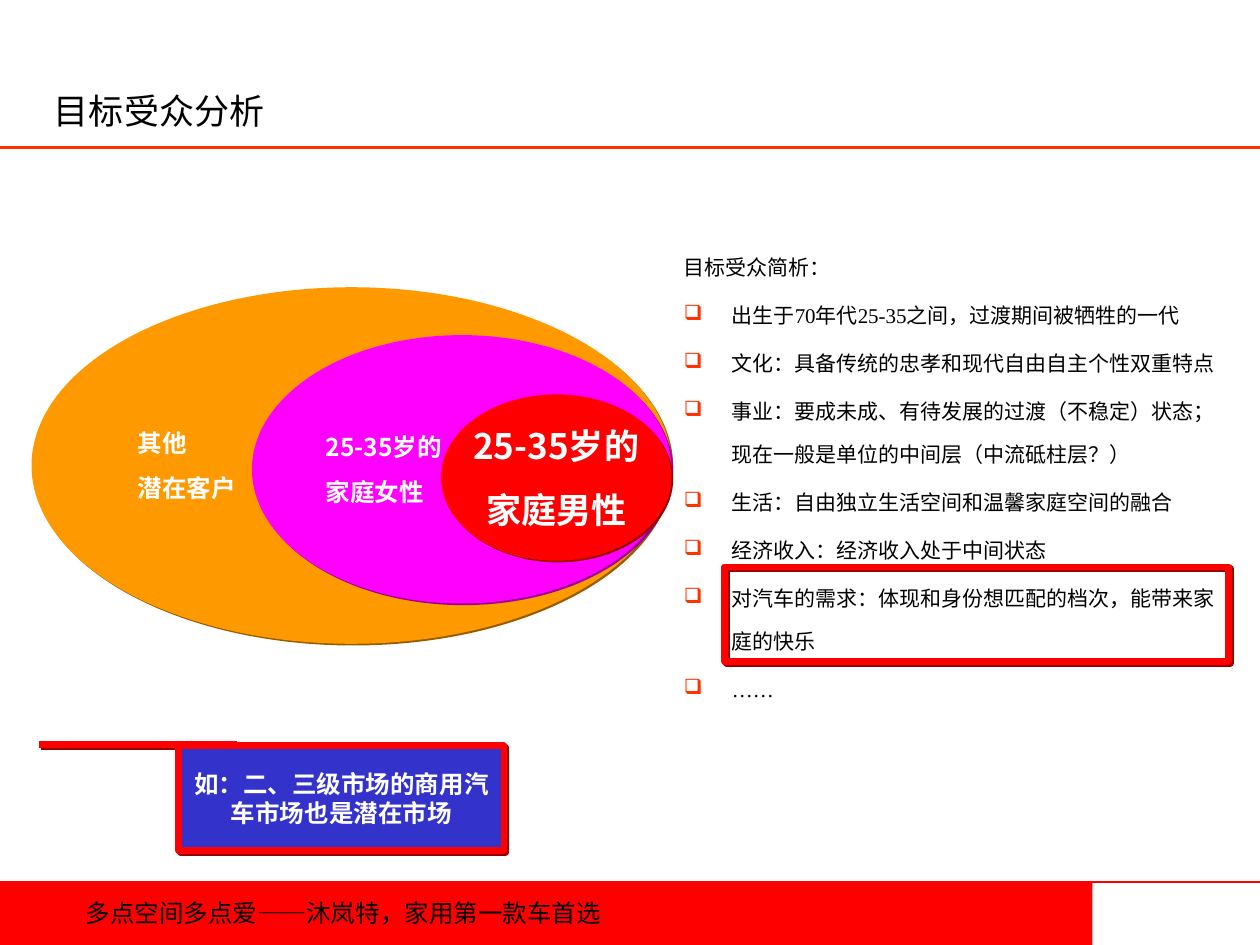
from lxml.etree import SubElement
from pptx import Presentation
from pptx.dml.color import RGBColor
from pptx.enum.shapes import MSO_CONNECTOR, MSO_SHAPE
from pptx.enum.text import MSO_ANCHOR, PP_ALIGN
from pptx.oxml.ns import qn
from pptx.util import Inches, Pt

SANS = "Noto Sans CJK SC"
SERIF = "Times New Roman"
RED, WHITE, BLACK = "FF0000", "FFFFFF", "000000"
DARK = "980000"
LEFT, MID = PP_ALIGN.LEFT, PP_ALIGN.CENTER

TITLE = "目标受众分析"
SLOGAN = "多点空间多点爱——沐岚特，家用第一款车首选"
NOTE = "如：二、三级市场的商用汽车市场也是潜在市场"
RULES = [(7, RED), (1.17, "FF3300")]
RINGS = [
    ((0.25, 2.28, 5.08, 2.83), "FF9900", "985B00", ["其他", "潜在客户"], 14, LEFT),
    ((2, 2.66, 3.33, 2.13), "FF00FF", "980098", ["25-35岁的", "家庭女性"], 14, LEFT),
    ((3.5, 3.13, 1.83, 1.32), RED, DARK, ["25-35岁的", "家庭男性"], 20, MID),
]
HEAD = "目标受众简析："
POINTS = [
    "出生于70年代25-35之间，过渡期间被牺牲的一代",
    "文化：具备传统的忠孝和现代自由自主个性双重特点",
    "事业：要成未成、有待发展的过渡（不稳定）状态；现在一般是单位的中间层（中流砥柱层？）",
    "生活：自由独立生活空间和温馨家庭空间的融合",
    "经济收入：经济收入处于中间状态",
    "对汽车的需求：体现和身份想匹配的档次，能带来家庭的快乐",
    "……",
]

deck = Presentation()
deck.slide_width, deck.slide_height = Inches(10), Inches(7.5)
slide = deck.slides.add_slide(deck.slide_layouts[6])
shapes = slide.shapes


def rgb(code):
    return RGBColor.from_string(code)


def shade(owner, code):
    cast = SubElement(owner, qn("a:outerShdw"), dist="17780", dir="2700000", algn="ctr", rotWithShape="0")
    SubElement(cast, qn("a:srgbClr"), val=code)


def shape(kind, box, fill=None, line=None, cast=None):
    item = shapes.add_shape(kind, *map(Inches, box))
    item.shadow.inherit = False
    if fill:
        item.fill.solid()
        item.fill.fore_color.rgb = rgb(fill)
    else:
        item.fill.background()
    if line:
        item.line.color.rgb = rgb(line)
        item.line.width = Pt(4)
    else:
        item.line.fill.background()
    if cast:
        shade(item._element.spPr.find(qn("a:effectLst")), cast)
    return item


def rule(y, code):
    line = shapes.add_connector(MSO_CONNECTOR.STRAIGHT, 0, Inches(y), Inches(10), Inches(y))
    line.line.color.rgb = rgb(code)
    line.line.width = Pt(1.5)
    SubElement(line._element.spPr, qn("a:effectLst"))


def bullet(para, mark):
    props = para._p.get_or_add_pPr()
    props.set("marL", str(Inches(0.38)))
    props.set("indent", str(-Inches(0.38)))
    if mark:
        tint = SubElement(props, qn("a:buClr"))
        SubElement(tint, qn("a:srgbClr"), val="FF3300")
        SubElement(props, qn("a:buChar"), char=mark)


def write(item, lines, size, face, code, align=LEFT, gap=0, bold=False, wrap=True,
          anchor=MSO_ANCHOR.MIDDLE, marks=None, pitch=None):
    frame = item.text_frame
    frame.word_wrap = wrap
    frame.vertical_anchor = anchor
    for i, text in enumerate(lines):
        para = frame.paragraphs[0] if i == 0 else frame.add_paragraph()
        para.text = text
        para.alignment = align
        if pitch:
            para.line_spacing = pitch
        if i:
            para.space_before = Pt(gap)
        if marks:
            bullet(para, marks[i])
        font = para.font
        font.size, font.name, font.bold = Pt(size), face, bold
        font.color.rgb = rgb(code)


def label(box, lines, size, **opts):
    item = shapes.add_textbox(*map(Inches, box))
    write(item, lines, size, SERIF, BLACK, **opts)
    return item


rule(*RULES[0])
shape(MSO_SHAPE.RECTANGLE, (0, 7, 8.67, 0.5), RED)
rule(*RULES[1])
foot = label((0.58, 7.08, 5.39, 0.34), [SLOGAN], 14, anchor=MSO_ANCHOR.TOP)
props = foot.text_frame.paragraphs[0].runs[0]._r.get_or_add_rPr()
shade(SubElement(props, qn("a:effectLst")), "000080")
label((0.33, 0.5, 8.33, 0.75), [TITLE], 20)

for box, fill, cast, lines, size, align in RINGS:
    ring = shape(MSO_SHAPE.OVAL, box, fill, cast=cast)
    write(ring, lines, size, SANS, WHITE, align, gap=size * 0.63, bold=True, wrap=False)

call = shape(MSO_SHAPE.LINE_CALLOUT_1, (1.42, 5.92, 2.58, 0.83), "3333CC", RED, DARK)
for i, value in enumerate([-0.01, -0.43, -0.01, 0.18]):
    call.adjustments[i] = value
write(call, [NOTE], 14, SANS, WHITE, MID, bold=True)

label((5.33, 1.83, 4.5, 4.08), [HEAD] + POINTS, 12, gap=3, anchor=MSO_ANCHOR.TOP,
      marks=[None] + ["❑"] * len(POINTS), pitch=1.7)
shape(MSO_SHAPE.RECTANGLE, (5.75, 4.5, 4, 0.75), line=RED, cast=DARK)

deck.save("out.pptx")
